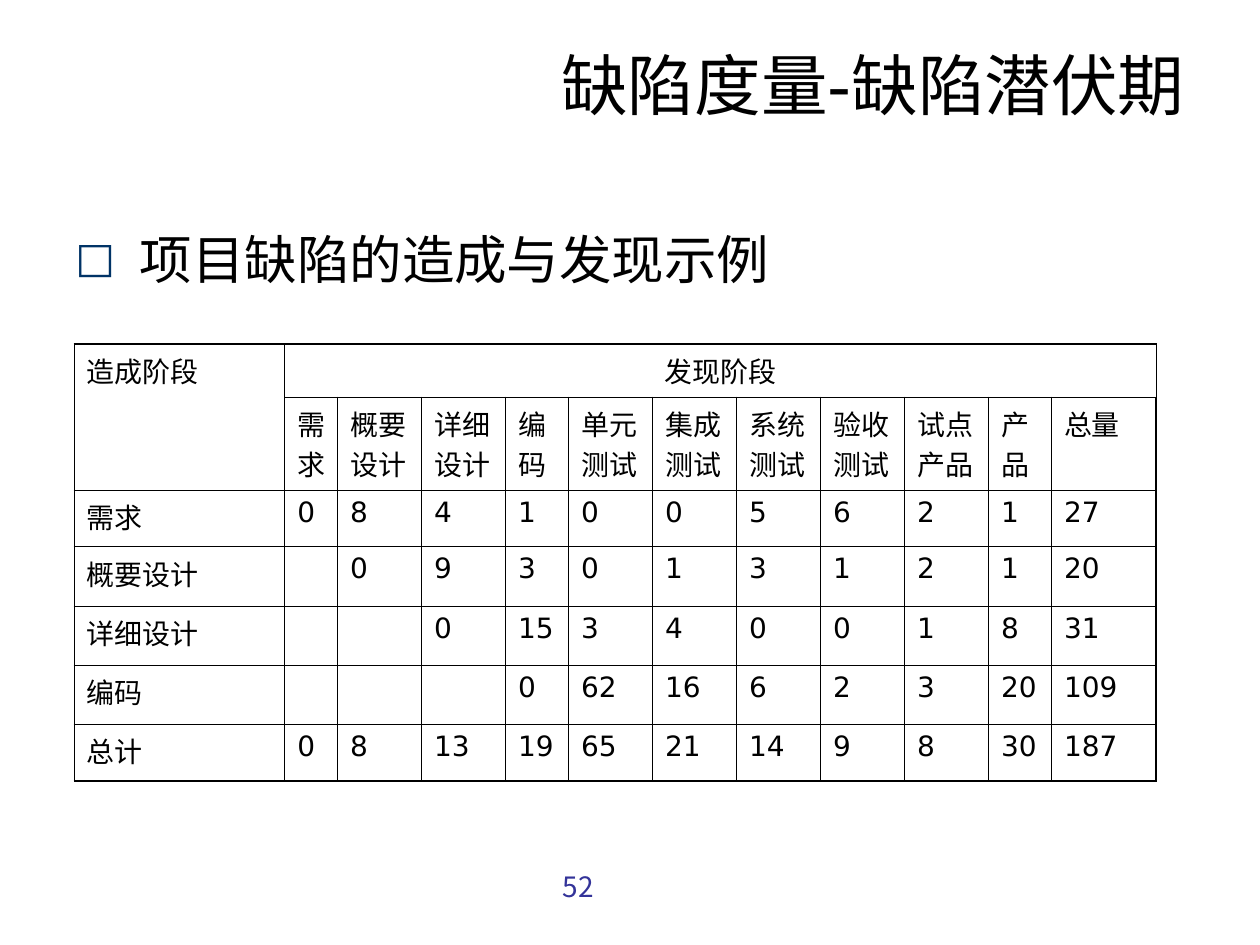
import pptx
import pptx.util
import pptx.dml.color
import pptx.enum.text
import pptx.oxml.ns
from lxml import etree

Inches = pptx.util.Inches
Pt = pptx.util.Pt
RGBColor = pptx.dml.color.RGBColor
ALIGN = pptx.enum.text.PP_ALIGN

BLACK = RGBColor(0x00, 0x00, 0x00)
BLUE = RGBColor(0x33, 0x33, 0x99)
NAVY = RGBColor(0x00, 0x33, 0x66)
SANS = "DejaVu Sans"
HAN = "Noto Sans CJK SC"


def add(node, tag, **attrs):
    return etree.SubElement(node, pptx.oxml.ns.qn(tag), **attrs)


def write(frame, text, size, face=SANS, color=BLACK):
    frame.text = text
    frame.word_wrap = True
    font = frame.paragraphs[0].runs[0].font
    font.size = Pt(size)
    font.name = face
    font.color.rgb = color
    return frame.paragraphs[0]


deck = pptx.Presentation()
deck.slide_width = Inches(10)
deck.slide_height = Inches(7.5)
slide = deck.slides.add_slide(deck.slide_layouts[6])
shapes = slide.shapes

title = shapes.add_textbox(Inches(0.5), Inches(0.3), Inches(9), Inches(1.25))
write(title.text_frame, "缺陷度量-缺陷潜伏期", 38).alignment = ALIGN.RIGHT

body = shapes.add_textbox(Inches(0.5), Inches(1.75), Inches(9), Inches(4.95))
point = write(body.text_frame, "项目缺陷的造成与发现示例", 30)
props = point._p.get_or_add_pPr()
props.set("marL", str(Inches(0.51)))
props.set("indent", str(-Inches(0.51)))
add(add(props, "a:buClr"), "a:srgbClr", val=str(NAVY))
add(props, "a:buSzPct", val="80000")
add(props, "a:buFont", typeface=SANS)
add(props, "a:buChar", char="□")

rows = [
    ["造成阶段", "发现阶段"] + [""] * 10,
    ["", "需求", "概要设计", "详细设计", "编码", "单元测试", "集成测试",
     "系统测试", "验收测试", "试点产品", "产品", "总量"],
    ["需求", 0, 8, 4, 1, 0, 0, 5, 6, 2, 1, 27],
    ["概要设计", "", 0, 9, 3, 0, 1, 3, 1, 2, 1, 20],
    ["详细设计", "", "", 0, 15, 3, 4, 0, 0, 1, 8, 31],
    ["编码", "", "", "", 0, 62, 16, 6, 2, 3, 20, 109],
    ["总计", 0, 8, 13, 19, 65, 21, 14, 9, 8, 30, 187],
]
mid = 2 / 3
wides = [1.67, 0.42, mid, mid, 0.5] + [mid] * 5 + [0.5, 0.83]
highs = [0.42, 0.74, 0.45] + [0.47] * 3 + [0.45]
last_row = len(rows) - 1
last_col = len(wides) - 1

frame = shapes.add_table(len(rows), len(wides), Inches(0.59), Inches(2.73),
                         Inches(sum(wides)), Inches(sum(highs)))
table = frame.table
table.first_row = False
table.horz_banding = False
for col, wide in zip(table.columns, wides):
    col.width = Inches(wide)
for row, high in zip(table.rows, highs):
    row.height = Inches(high)
table.cell(0, 0).merge(table.cell(1, 0))
table.cell(0, 1).merge(table.cell(0, last_col))

for r, row in enumerate(rows):
    for c, value in enumerate(row):
        cell = table.cell(r, c)
        edges = {"L": c == 0, "R": c == last_col, "T": r == 0, "B": r == last_row}
        props = cell._tc.get_or_add_tcPr()
        for side, outer in edges.items():
            line = add(props, "a:ln" + side, w=str(Pt(1.08 if outer else 0.45)))
            add(add(line, "a:solidFill"), "a:srgbClr", val=str(BLACK))
        cell.fill.background()
        if value != "":
            write(cell.text_frame, str(value), 16)
table.cell(0, 1).text_frame.paragraphs[0].alignment = ALIGN.CENTER

number = shapes.add_textbox(Inches(4.37), Inches(6.85), Inches(1.1), Inches(0.52))
write(number.text_frame, "52", 16, HAN, BLUE)

deck.save("out.pptx")
